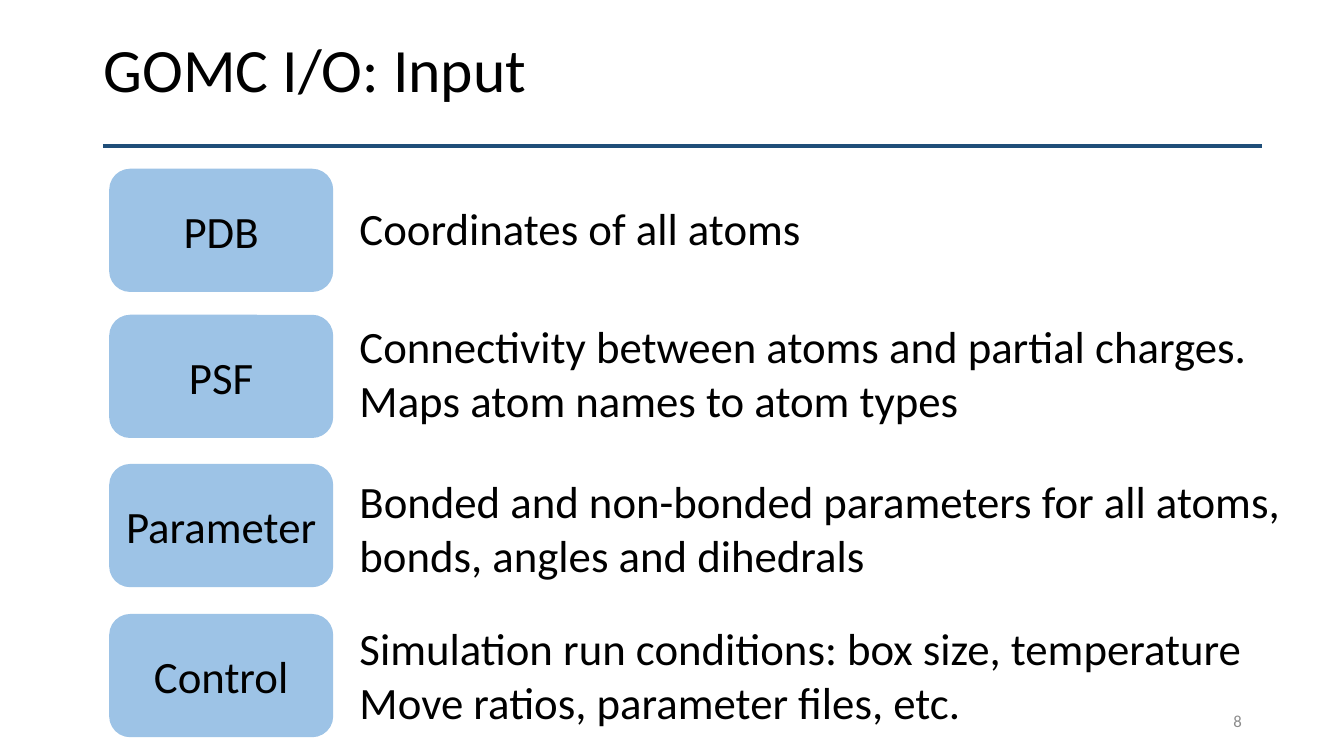
"""Build the GOMC input files slide."""
from dataclasses import dataclass

from lxml import etree
from pptx import Presentation
from pptx.dml.color import RGBColor
from pptx.enum.shapes import MSO_CONNECTOR, MSO_SHAPE
from pptx.enum.text import MSO_ANCHOR, MSO_AUTO_SIZE, PP_ALIGN
from pptx.oxml.ns import qn
from pptx.util import Cm, Pt

ROUNDED = MSO_SHAPE.ROUNDED_RECTANGLE
STRAIGHT = MSO_CONNECTOR.STRAIGHT
TOP, MIDDLE = MSO_ANCHOR.TOP, MSO_ANCHOR.MIDDLE
LEFT, CENTER, RIGHT = PP_ALIGN.LEFT, PP_ALIGN.CENTER, PP_ALIGN.RIGHT
NO_FIT = MSO_AUTO_SIZE.NONE


@dataclass(frozen=True)
class Theme:
    """Font, colours and type sizes."""
    font: str = "Calibri"
    text: RGBColor = RGBColor(0x00, 0x00, 0x00)
    rule: RGBColor = RGBColor(0x1F, 0x4E, 0x79)
    box: RGBColor = RGBColor(0x9D, 0xC3, 0xE6)
    muted: RGBColor = RGBColor(0x8C, 0x8C, 0x8C)
    title_size: int = 44
    body_size: int = 32
    number_size: int = 12


THEME = Theme()

# label, label top, description top, description lines
INPUT_FILES = [
    ("PDB", 4.27, 4.93, ["Coordinates of all atoms"]),
    ("PSF", 7.95, 7.9, ["Connectivity between atoms and partial charges.",
                        "Maps atom names to atom types"]),
    ("Parameter", 11.71, 11.81, ["Bonded and non-bonded parameters for all atoms,",
                                 "bonds, angles and dihedrals"]),
    ("Control", 15.49, 15.52, ["Simulation run conditions: box size, temperature",
                               "Move ratios, parameter files, etc."]),
]


def write(tf, lines, size, color=THEME.text, align=LEFT, anchor=TOP, wrap=False):
    """Fill a text frame with one paragraph per line."""
    tf.auto_size = NO_FIT
    tf.word_wrap = wrap
    tf.vertical_anchor = anchor
    for i, line in enumerate(lines):
        p = tf.add_paragraph() if i else tf.paragraphs[0]
        p.alignment = align
        r = p.add_run()
        r.text = line
        r.font.name = THEME.font
        r.font.size = Pt(size)
        r.font.color.rgb = color


def set_title(s, text):
    """Place and format the title placeholder."""
    sp = s.shapes.title
    sp.left, sp.top, sp.width, sp.height = Cm(2.36), Cm(0), Cm(29.21), Cm(3.68)
    write(sp.text_frame, [text], THEME.title_size, anchor=MIDDLE, wrap=True)
    sp.text_frame.paragraphs[0].line_spacing = 0.9


def add_rule(s):
    """Draw the line under the title."""
    line = s.shapes.add_connector(STRAIGHT, Cm(2.59), Cm(3.68), Cm(31.8), Cm(3.68))
    line.line.color.rgb = THEME.rule
    line.line.width = Pt(3)
    etree.SubElement(line._element.spPr, qn("a:effectLst"))


def add_label(s, text, top):
    """Add a rounded box naming an input file."""
    sp = s.shapes.add_shape(ROUNDED, Cm(2.77), Cm(top), Cm(5.61), Cm(3.07))
    sp.shadow.inherit = False
    sp.fill.solid()
    sp.fill.fore_color.rgb = THEME.box
    sp.line.color.rgb = THEME.box
    sp.line.width = Pt(1)
    write(sp.text_frame, [text], THEME.body_size, align=CENTER, anchor=MIDDLE)


def add_description(s, lines, top):
    """Add the text beside a label."""
    height = 0.25 + 1.37 * len(lines)
    sp = s.shapes.add_textbox(Cm(8.81), Cm(top), Cm(24.2), Cm(height))
    write(sp.text_frame, lines, THEME.body_size)


def add_number(s, number):
    """Add the slide number."""
    sp = s.shapes.add_textbox(Cm(23.93), Cm(17.65), Cm(7.62), Cm(1.02))
    write(sp.text_frame, [number], THEME.number_size, THEME.muted, RIGHT, MIDDLE, True)


def main():
    """Build and save the slide."""
    prs = Presentation()
    prs.slide_width, prs.slide_height = Cm(33.87), Cm(19.05)
    s = prs.slides.add_slide(prs.slide_layouts[5])
    set_title(s, "GOMC I/O: Input")
    add_rule(s)
    for label, label_top, text_top, lines in INPUT_FILES:
        add_label(s, label, label_top)
        add_description(s, lines, text_top)
    add_number(s, "8")
    prs.save("out.pptx")


if __name__ == "__main__":
    main()
